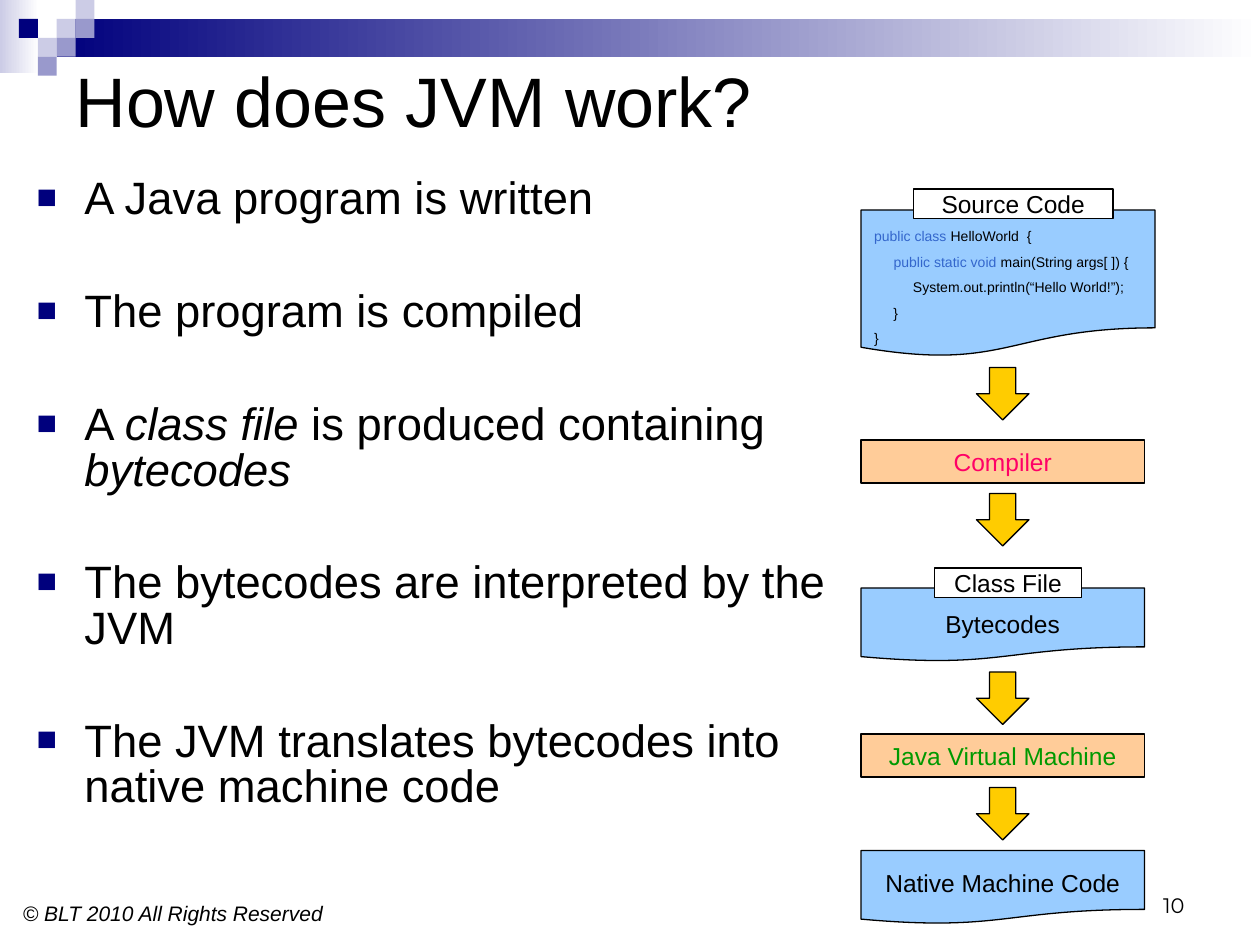
from dataclasses import dataclass

from lxml import etree
from pptx import Presentation
from pptx import util as u
from pptx.dml.color import RGBColor
from pptx.enum import shapes, text
from pptx.oxml.ns import qn

COLS, ROWS = 120, 90
GEO = shapes.MSO_SHAPE
ALIGN = text.PP_ALIGN
MID = text.MSO_ANCHOR.MIDDLE


@dataclass(frozen=True)
class Theme:
    font: str = "Arial"
    digits: str = "Montserrat"
    ink: str = "000000"
    paper: str = "FFFFFF"
    navy: str = "00007D"
    mauve: str = "9999CC"
    pale: str = "CCCCE6"
    sky: str = "99CCFF"
    peach: str = "FFCC99"
    gold: str = "FFCC00"
    pink: str = "FF0066"
    green: str = "009900"
    key: str = "3366CC"
    title: float = 40
    body: float = 25.9
    label: float = 14
    small: float = 12
    code: float = 8


T = Theme()
BULLETS = [
    [("A Java program is written", False)],
    [("The program is compiled", False)],
    [("A ", False), ("class file", True),
     (" is produced containing ", False), ("bytecodes", True)],
    [("The bytecodes are interpreted by the JVM", False)],
    [("The JVM translates bytecodes into native machine code", False)],
]
CODE = [
    [("public class", T.key), (" HelloWorld  {", T.ink)],
    [("     ", T.ink), ("public static void", T.key),
     (" main(String args[ ]) {", T.ink)],
    [("          System.out.println(“Hello World!”);", T.ink)],
    [("     }", T.ink)],
    [("}", T.ink)],
]


def rgb(code):
    return RGBColor.from_string(code)


def place(box):
    """Turn columns and rows into slide lengths."""
    x, y, w, h = box
    dx, dy = u.Inches(10) / COLS, u.Inches(7.5) / ROWS
    return [u.Emu(round(n)) for n in (x * dx, y * dy, w * dx, h * dy)]


def within(box, x, y, w, h):
    return box[0] + x, box[1] + y, w, h


def style(font, size, color=T.ink, face=T.font, italic=False):
    font.name, font.size, font.italic = face, u.Pt(size), italic
    font.color.rgb = rgb(color)


def pad(frame, side=0.1, top=0.05):
    frame.word_wrap = True
    frame.margin_left = frame.margin_right = u.Inches(side)
    frame.margin_top = frame.margin_bottom = u.Inches(top)


def write(shape, words, size, color=T.ink, align=ALIGN.CENTER,
          anchor=MID, face=T.font, italic=False):
    frame = shape.text_frame
    frame.text = words
    frame.auto_size = text.MSO_AUTO_SIZE.NONE
    frame.vertical_anchor = anchor
    para = frame.paragraphs[0]
    para.alignment = align
    style(para.runs[0].font, size, color, face, italic)
    return para


def draw(slide, kind, box, fill, line=T.ink):
    shape = slide.shapes.add_shape(kind, *place(box))
    shape.shadow.inherit = False
    if isinstance(fill, tuple):
        shape.fill.gradient()
        shape.fill.gradient_angle = 0
        for stop, spot, color in zip(shape.fill.gradient_stops, (0, 1), fill):
            stop.position, stop.color.rgb = spot, rgb(color)
    else:
        shape.fill.solid()
        shape.fill.fore_color.rgb = rgb(fill)
    if line:
        shape.line.color.rgb = rgb(line)
        shape.line.width = u.Pt(0.75)
    else:
        shape.line.fill.background()
    return shape


def label(slide, box, words, color=T.ink, fill=None):
    """A centred caption, framed when a fill is given."""
    if fill:
        shape = draw(slide, GEO.RECTANGLE, box, fill)
    else:
        shape = slide.shapes.add_textbox(*place(box))
    pad(shape.text_frame, 0.02, 0)
    write(shape, words, T.label, color)


def banner(slide, box):
    side = 1.8
    bars = [((0, 0, 3.7, 7), (T.pale, T.paper)),
            ((5.4, side, box[2] - 5.4, 2 * side), (T.navy, T.paper))]
    tiles = [(3, 1, T.pale), (4, 0, T.pale), (4, 1, T.mauve), (2, 2, T.pale),
             (1, 1, T.navy), (3, 2, T.mauve), (2, 3, T.mauve)]
    bars += [((c * side, r * side, side, side), color) for c, r, color in tiles]
    for part, fill in bars:
        draw(slide, GEO.RECTANGLE, within(box, *part), fill, None)


def heading(slide, box):
    title = slide.shapes.title
    title.left, title.top, title.width, title.height = place(box)
    pad(title.text_frame)
    write(title, "How does JVM work?", T.title, align=ALIGN.LEFT)


def bullet(para):
    props = para._p.get_or_add_pPr()
    indent = u.Inches(0.38)
    props.set("marL", str(indent))
    props.set("indent", str(-indent))
    color = etree.SubElement(props, qn("a:buClr"))
    etree.SubElement(color, qn("a:srgbClr"), val=T.navy)
    etree.SubElement(props, qn("a:buSzPct"), val="75000")
    etree.SubElement(props, qn("a:buFont"), typeface=T.font)
    etree.SubElement(props, qn("a:buChar"), char="■")


def fill_text(frame, rows, gap, look, prep=None):
    for i, row in enumerate(rows):
        para = frame.paragraphs[0] if i == 0 else frame.add_paragraph()
        if prep:
            prep(para)
        if i:
            para.space_before = u.Pt(gap)
        for words, mark in row:
            run = para.add_run()
            run.text = words
            look(run.font, mark)


def points(slide, box):
    frame = slide.shapes.add_textbox(*place(box)).text_frame
    pad(frame)

    def prep(para):
        bullet(para)
        para.line_spacing = 0.84

    fill_text(frame, BULLETS, 38.3,
              lambda font, slant: style(font, T.body, italic=slant), prep)


def flow(slide, box):
    """Steps from source code down to machine code."""
    wide = box[2]
    for row in (17, 29, 46, 57):
        draw(slide, GEO.DOWN_ARROW, within(box, 11, row, 5, 5), T.gold)
    for row, words, color in ((23.9, "Compiler", T.pink),
                              (51.9, "Java Virtual Machine", T.green)):
        label(slide, within(box, 0, row, wide, 4.1), words, color, T.peach)
    for row, w, h in ((2, wide + 1, 14), (38, wide, 7), (63, wide, 7)):
        draw(slide, GEO.FLOWCHART_DOCUMENT, within(box, 0, row, w, h), T.sky)
    label(slide, within(box, 5, 0, 19, 2.8), "Source Code", fill=T.paper)
    label(slide, within(box, 7, 36.1, 14, 2.8), "Class File", fill=T.paper)
    label(slide, within(box, 1, 40, 25, 2.8), "Bytecodes")
    label(slide, within(box, 0, 64, wide, 4.1), "Native Machine Code")
    code = slide.shapes.add_textbox(*place(within(box, 1, 3.7, wide, 11.3)))
    pad(code.text_frame, 0.02, 0)
    fill_text(code.text_frame, CODE, 5,
              lambda font, color: style(font, T.code, color))


def footer(slide, box):
    note = slide.shapes.add_textbox(*place(within(box, 0, 3.6, 40, 3.1)))
    pad(note.text_frame)
    para = write(note, "© BLT 2010 All Rights Reserved", T.small,
                 align=ALIGN.LEFT, anchor=text.MSO_ANCHOR.TOP, italic=True)
    para.line_spacing = 0.8
    page = slide.shapes.add_textbox(*place(within(box, 85, 0, 28, 6)))
    pad(page.text_frame)
    write(page, "10", T.small, align=ALIGN.RIGHT,
          anchor=text.MSO_ANCHOR.BOTTOM, face=T.digits)


def main():
    deck = Presentation()
    deck.slide_width, deck.slide_height = u.Inches(10), u.Inches(7.5)
    slide = deck.slides.add_slide(deck.slide_layouts[5])
    banner(slide, (0, 0, COLS, 7))
    footer(slide, (1, 82, 113, 7))
    heading(slide, (6, 4.7, 108, 9.5))
    points(slide, (2.3, 16.4, 82.2, 63))
    flow(slide, (82, 18, 27, 70))
    deck.save("out.pptx")


if __name__ == "__main__":
    main()
